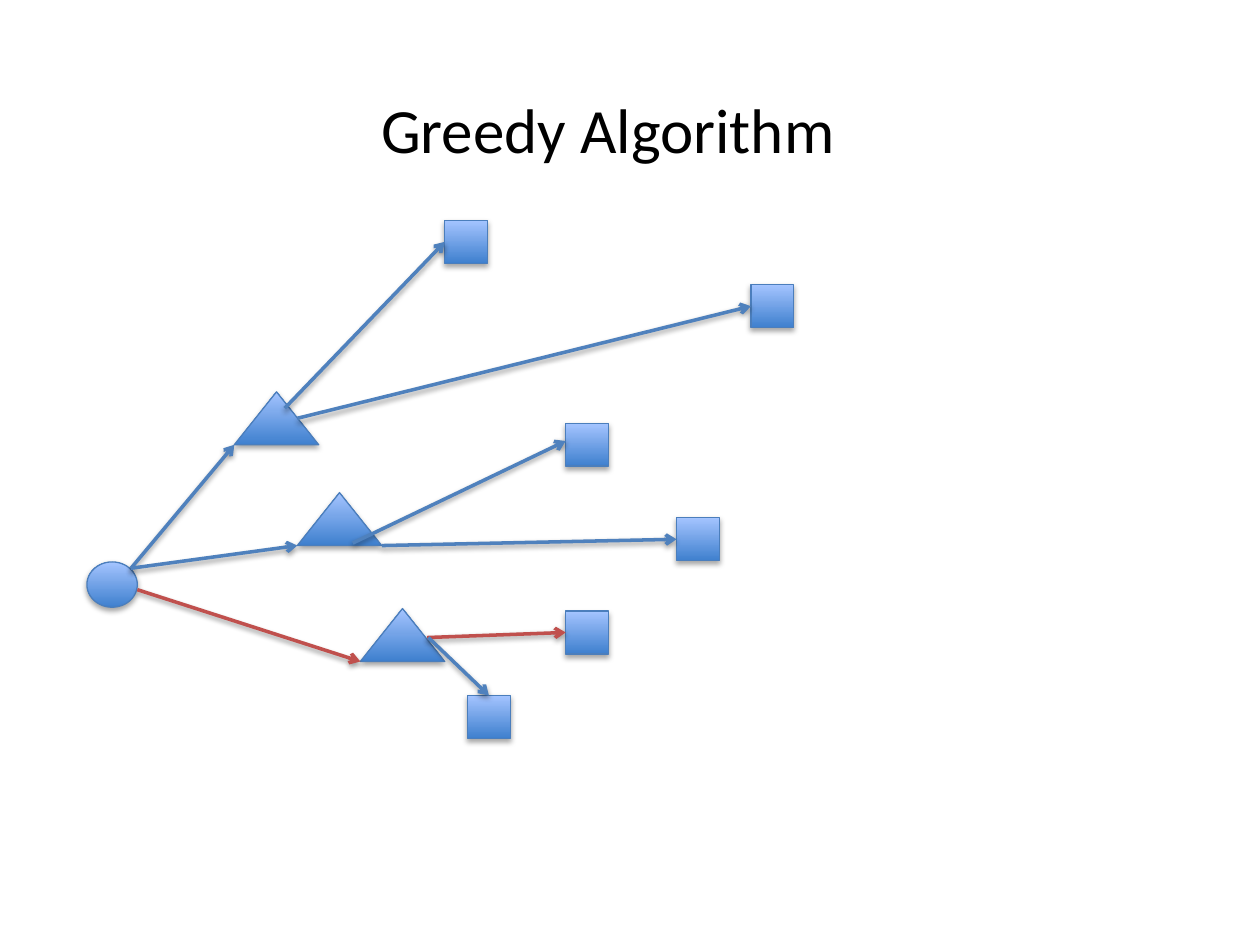
from dataclasses import dataclass
from typing import Optional

from lxml import etree
from pptx import Presentation
from pptx import util as u
from pptx.dml.color import RGBColor
from pptx.enum import shapes, text
from pptx.oxml import ns

COLORS = {
    "fill_bottom": "3F80CE",
    "fill_top": "A4C4FF",
    "outline": "4B7EBC",
    "edge": "4F81BD",
    "chosen": "C0504D",
    "shadow": "000000",
    "text": "000000",
}
SIZES = {
    shapes.MSO_SHAPE.OVAL: (0.4, 0.36),
    shapes.MSO_SHAPE.ISOSCELES_TRIANGLE: (0.67, 0.42),
    shapes.MSO_SHAPE.RECTANGLE: (0.34, 0.34),
}
TOP, LEFT = 0, 1


@dataclass
class Node:
    name: str
    kind: shapes.MSO_SHAPE
    x: float
    y: float


@dataclass
class Edge:
    """An arrow; with a target it is joined to that node's side."""
    start: tuple[float, float]
    end: tuple[float, float]
    target: Optional[str] = None
    side: int = LEFT
    color: str = "edge"


NODES = [
    Node("root", shapes.MSO_SHAPE.OVAL, 0.69, 4.46),
    *(Node(f"branch{i}", shapes.MSO_SHAPE.ISOSCELES_TRIANGLE, x, y)
      for i, (x, y) in enumerate([(1.86, 3.11), (2.36, 3.91), (2.86, 4.83)])),
    *(Node(f"leaf{i}", shapes.MSO_SHAPE.RECTANGLE, x, y)
      for i, (x, y) in enumerate([(3.53, 1.75), (5.96, 2.26), (4.49, 3.36),
                                  (5.37, 4.11), (4.49, 4.85), (3.71, 5.52)])),
]
EDGES = [
    Edge((1.04, 4.51), (1.86, 3.53)),
    Edge((1.04, 4.51), (2.36, 4.33)),
    Edge((1.09, 4.68), (2.86, 5.25), color="chosen"),
    Edge((2.26, 3.24), (3.53, 1.92), "leaf0"),
    Edge((2.8, 4.31), (4.49, 3.5)),
    Edge((2.36, 3.32), (5.96, 2.43), "leaf1"),
    Edge((3.03, 4.33), (5.37, 4.28), "leaf3"),
    Edge((3.39, 5.06), (4.49, 5.02), "leaf4", color="chosen"),
    Edge((3.4, 5.06), (3.88, 5.52), "leaf5", TOP),
]


def rgb(name: str) -> RGBColor:
    return RGBColor.from_string(COLORS[name])


def add_shadow(sp, distance: float, opacity: int) -> None:
    """Cast a soft shadow straight down; distance in points, opacity in percent."""
    sp_pr = sp._element.spPr
    effects = sp_pr.find(ns.qn("a:effectLst"))
    if effects is None:
        effects = etree.SubElement(sp_pr, ns.qn("a:effectLst"))
    shadow = etree.SubElement(effects, ns.qn("a:outerShdw"), blurRad=str(u.Pt(3.1)),
                              dist=str(u.Pt(distance)), dir="5400000", rotWithShape="0")
    color = etree.SubElement(shadow, ns.qn("a:srgbClr"), val=COLORS["shadow"])
    etree.SubElement(color, ns.qn("a:alpha"), val=str(opacity * 1000))


def add_node(s, node: Node):
    width, height = SIZES[node.kind]
    sp = s.shapes.add_shape(node.kind, u.Inches(node.x), u.Inches(node.y),
                            u.Inches(width), u.Inches(height))
    sp.fill.gradient()
    sp.fill.gradient_angle = 90
    for stop, name in zip(sp.fill.gradient_stops, ("fill_bottom", "fill_top")):
        stop.color.rgb = rgb(name)
    sp.line.color.rgb = rgb("outline")
    sp.line.width = u.Pt(0.75)
    sp.shadow.inherit = False
    add_shadow(sp, 1.8, 35)
    return sp


def add_edge(s, edge: Edge, nodes: dict) -> None:
    points = [u.Inches(v) for v in (*edge.start, *edge.end)]
    line = s.shapes.add_connector(shapes.MSO_CONNECTOR.STRAIGHT, *points)
    if edge.target:
        line.end_connect(nodes[edge.target], edge.side)
    line.line.color.rgb = rgb(edge.color)
    line.line.width = u.Pt(2)
    etree.SubElement(line.line._get_or_add_ln(), ns.qn("a:tailEnd"), type="arrow")
    add_shadow(line, 1.6, 38)


def add_text(s, content: str, *, x: float, y: float, width: float, height: float,
             size: float, color: str = "text", font: str = "Calibri",
             align=text.PP_ALIGN.CENTER) -> None:
    box = s.shapes.add_textbox(u.Inches(x), u.Inches(y), u.Inches(width), u.Inches(height))
    tf = box.text_frame
    tf.word_wrap = True
    tf.auto_size = text.MSO_AUTO_SIZE.SHAPE_TO_FIT_TEXT
    p = tf.paragraphs[0]
    p.alignment = align
    r = p.add_run()
    r.text = content
    r.font.name = font
    r.font.size = u.Pt(size)
    r.font.color.rgb = rgb(color)


def main() -> None:
    prs = Presentation()
    prs.slide_width, prs.slide_height = u.Inches(10), u.Inches(7.5)
    s = prs.slides.add_slide(prs.slide_layouts[6])
    nodes = {node.name: add_node(s, node) for node in NODES}
    for edge in EDGES:
        add_edge(s, edge, nodes)
    add_text(s, "Greedy Algorithm", x=1.39, y=0.67, width=6.87, height=0.71, size=36)
    prs.save("out.pptx")


if __name__ == "__main__":
    main()
